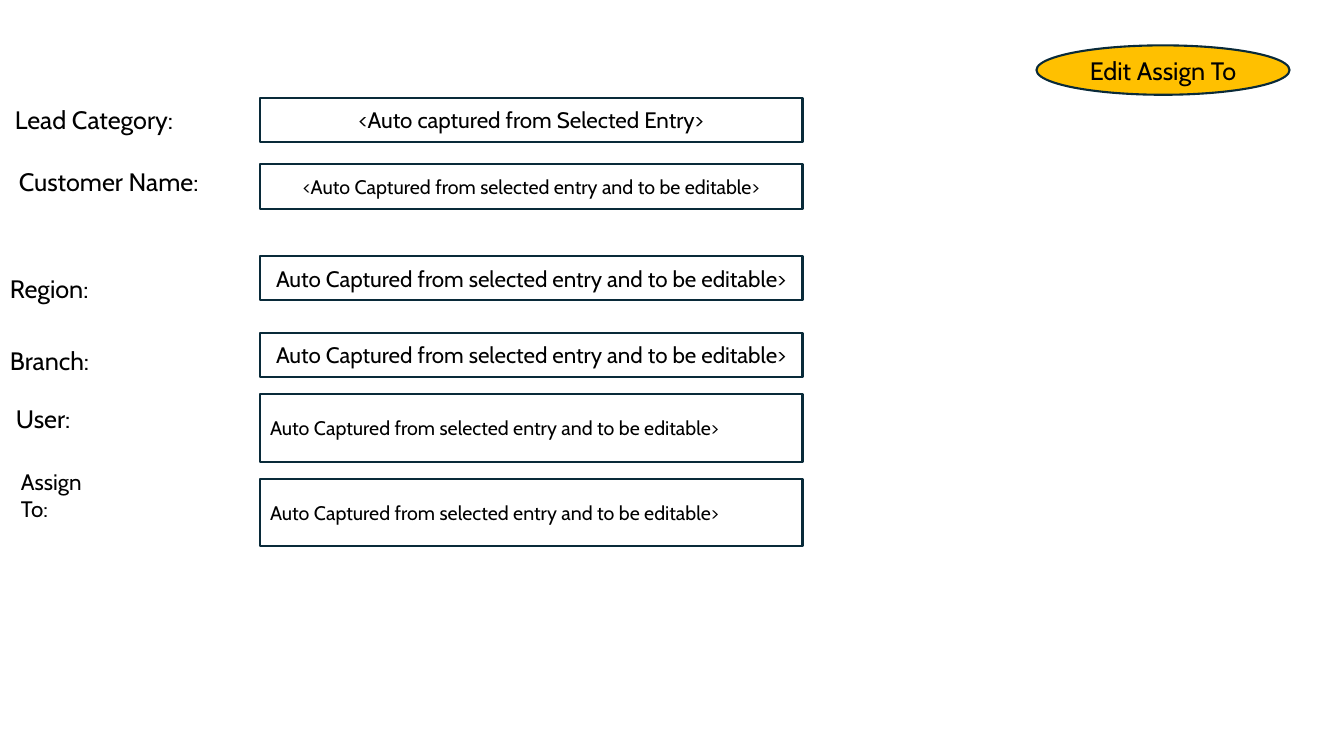
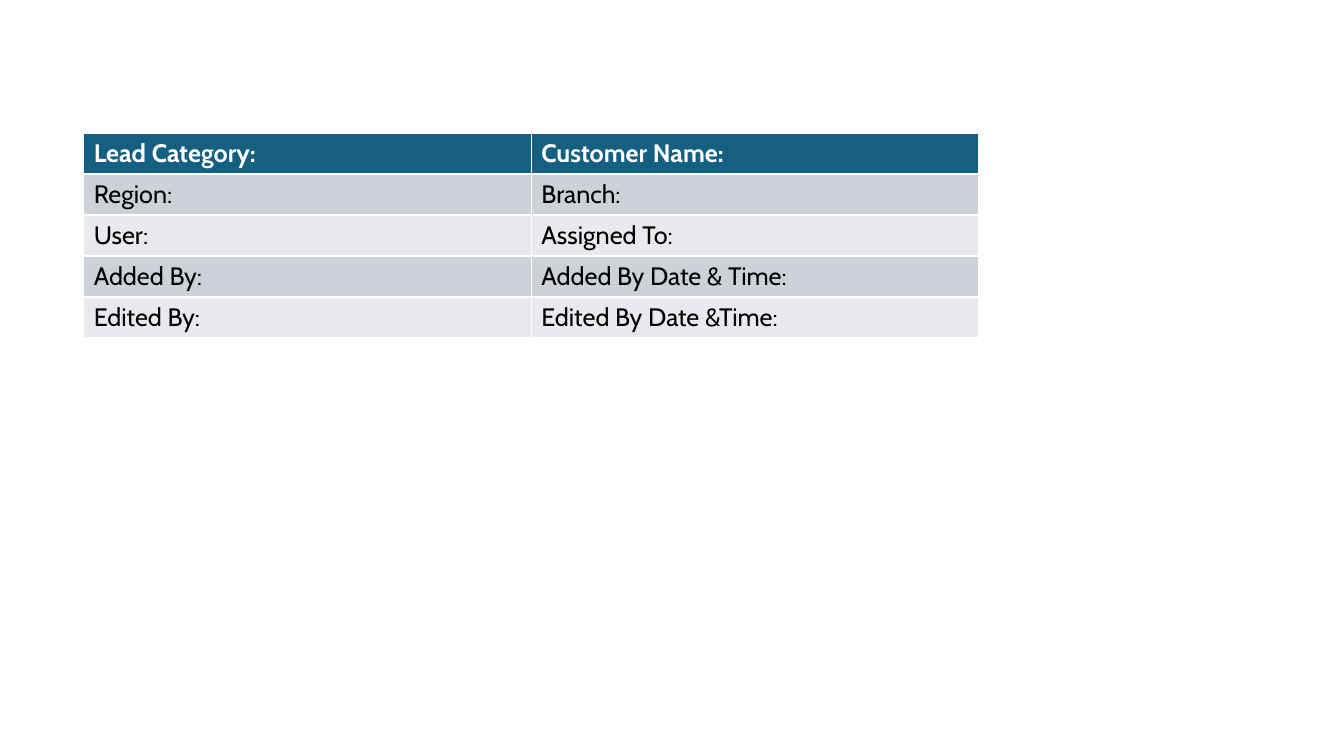
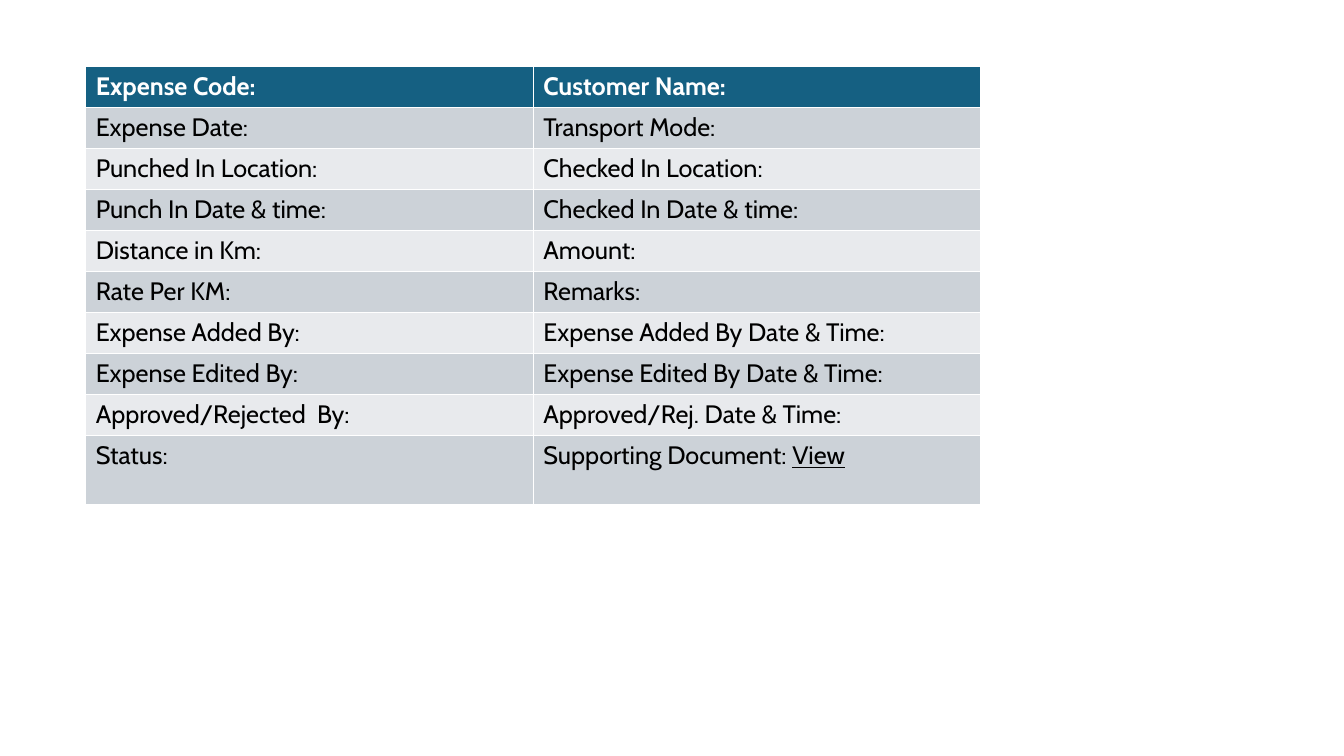
import pptx
import pptx.util
import pptx.dml.color
import pptx.enum.shapes
import pptx.enum.text
from dataclasses import dataclass

Inches = pptx.util.Inches
SHAPE = pptx.enum.shapes.MSO_SHAPE
ALIGN = pptx.enum.text.PP_ALIGN
ANCHOR = pptx.enum.text.MSO_ANCHOR


@dataclass(frozen=True)
class Theme:
    font: str = "Cabin"
    text: str = "000000"
    outline: str = "092A39"
    button: str = "FFC000"
    header: str = "156082"
    header_text: str = "FFFFFF"
    bands: tuple = ("CCD2D8", "E8EAED")
    large: int = 18
    medium: int = 16
    small: int = 14


class Deck:
    """Holds the theme and the current slide."""

    def __init__(self, theme):
        self.theme = theme
        self.prs = pptx.Presentation()
        self.prs.slide_width = Inches(13.33)
        self.prs.slide_height = Inches(7.5)

    def new_slide(self):
        self.s = self.prs.slides.add_slide(self.prs.slide_layouts[6])

    def rgb(self, color):
        return pptx.dml.color.RGBColor.from_string(color)

    def format(self, p, size, color=None, bold=False):
        p.font.name = self.theme.font
        p.font.size = pptx.util.Pt(size)
        p.font.bold = bold
        p.font.color.rgb = self.rgb(color or self.theme.text)

    def label(self, text, left, top, width, height, size):
        tb = self.s.shapes.add_textbox(*map(Inches, (left, top, width, height)))
        tf = tb.text_frame
        tf.word_wrap = True
        p = tf.paragraphs[0]
        p.text = text
        self.format(p, size)

    def box(self, text, left, top, width, height, size,
            kind=SHAPE.RECTANGLE, fill=None, align=ALIGN.CENTER):
        sp = self.s.shapes.add_shape(
            kind, *map(Inches, (left, top, width, height)))
        sp.shadow.inherit = False
        if fill:
            sp.fill.solid()
            sp.fill.fore_color.rgb = self.rgb(fill)
        else:
            sp.fill.background()
        sp.line.color.rgb = self.rgb(self.theme.outline)
        sp.line.width = pptx.util.Pt(1.5)
        tf = sp.text_frame
        tf.word_wrap = True
        tf.vertical_anchor = ANCHOR.MIDDLE
        p = tf.paragraphs[0]
        p.text = text
        p.alignment = align
        self.format(p, size)

    def table(self, rows, left, top, col_width=4.44, row_height=0.407,
              last_height=None):
        """White grid lines come from the default table style.

        A cell given as a pair has its second part underlined.
        """
        th = self.theme
        cols = len(rows[0])
        tbl = self.s.shapes.add_table(
            len(rows), cols, Inches(left), Inches(top),
            Inches(col_width * cols), Inches(row_height * len(rows))).table
        for col in tbl.columns:
            col.width = Inches(col_width)
        for row in tbl.rows:
            row.height = Inches(row_height)
        if last_height:
            tbl.rows[len(rows) - 1].height = Inches(last_height)
        for i, row in enumerate(rows):
            head = i == 0
            for j, content in enumerate(row):
                cell = tbl.cell(i, j)
                cell.fill.solid()
                cell.fill.fore_color.rgb = self.rgb(
                    th.header if head else th.bands[(i - 1) % 2])
                parts = (content,) if isinstance(content, str) else content
                p = cell.text_frame.paragraphs[0]
                for k, part in enumerate(parts):
                    r = p.add_run()
                    r.text = part
                    # Run fonts override the table style
                    self.format(r, th.large,
                                th.header_text if head else th.text, head)
                    if k:
                        r.font.underline = True


def assign_form(deck):
    th = deck.theme
    deck.new_slide()

    # Field labels
    for text, left, top, width, height, size in (
            ("Lead Category:", 0.05, 0.99, 2.15, 0.4, th.large),
            ("Customer Name:", 0.09, 1.6, 2.34, 0.4, th.large),
            ("Region:", 0, 2.66, 1.1, 0.4, th.large),
            ("Branch:", 0, 3.38, 1.1, 0.4, th.large),
            ("User:", 0.06, 3.95, 1.1, 0.4, th.large),
            ("Assign To:", 0.11, 4.6, 1.1, 0.64, th.medium)):
        deck.label(text, left, top, width, height, size)

    # Field boxes
    editable = "Auto Captured from selected entry and to be editable>"
    for text, top, height, size, align in (
            ("<Auto captured from Selected Entry>", 0.97, 0.44, th.medium,
             ALIGN.CENTER),
            ("<" + editable, 1.63, 0.44, th.small, ALIGN.CENTER),
            (editable, 2.54, 0.44, th.medium, ALIGN.CENTER),
            (editable, 3.3, 0.44, th.medium, ALIGN.CENTER),
            (editable, 3.91, 0.67, th.small, ALIGN.LEFT),
            (editable, 4.75, 0.67, th.small, ALIGN.LEFT)):
        deck.box(text, 2.58, top, 5.38, height, size, align=align)

    # Button
    deck.box("Edit Assign To", 10.28, 0.45, 2.51, 0.49, th.large,
             kind=SHAPE.OVAL, fill=th.button)


def lead_details(deck):
    deck.new_slide()
    deck.table((
        ("Lead Category:", "Customer Name:"),
        ("Region:", "Branch:"),
        ("User:", "Assigned To:"),
        ("Added By:", "Added By Date & Time:"),
        ("Edited By:", "Edited By Date &Time:"),
    ), 0.83, 1.32)


def expense_details(deck):
    deck.new_slide()
    deck.table((
        ("Expense Code:", "Customer Name:"),
        ("Expense Date:", "Transport Mode:"),
        ("Punched In Location:", "Checked In Location:"),
        ("Punch In Date & time:", "Checked In Date & time:"),
        ("Distance in Km:", "Amount:"),
        ("Rate Per KM:", "Remarks:"),
        ("Expense Added By:", "Expense Added By Date & Time:"),
        ("Expense Edited By:", "Expense Edited By Date & Time:"),
        ("Approved/Rejected  By:", "Approved/Rej. Date & Time:"),
        ("Status:", ("Supporting Document: ", "View")),
    ), 0.85, 0.66, last_height=0.69)


def main():
    deck = Deck(Theme())
    assign_form(deck)
    lead_details(deck)
    expense_details(deck)
    deck.prs.save("out.pptx")


if __name__ == "__main__":
    main()
